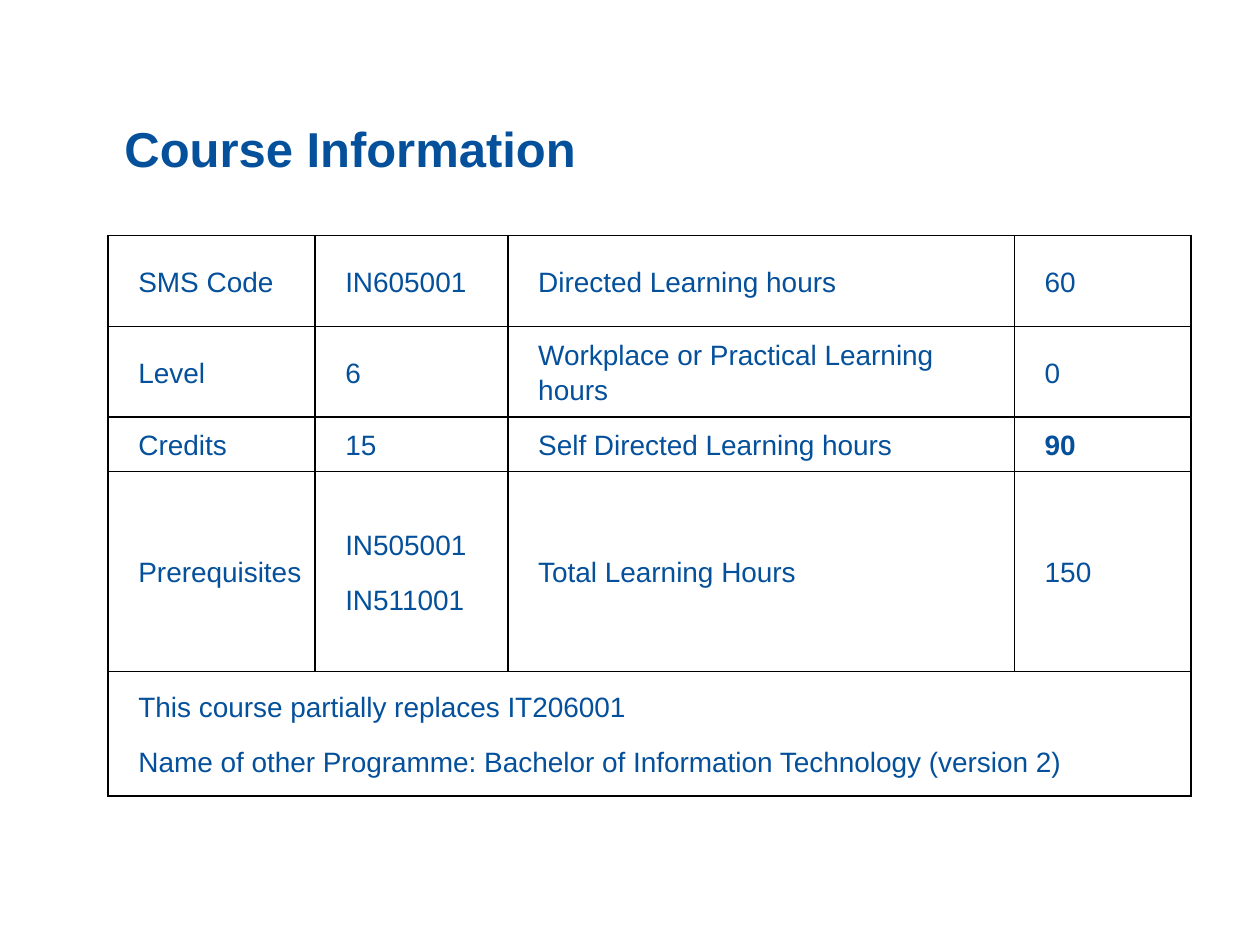
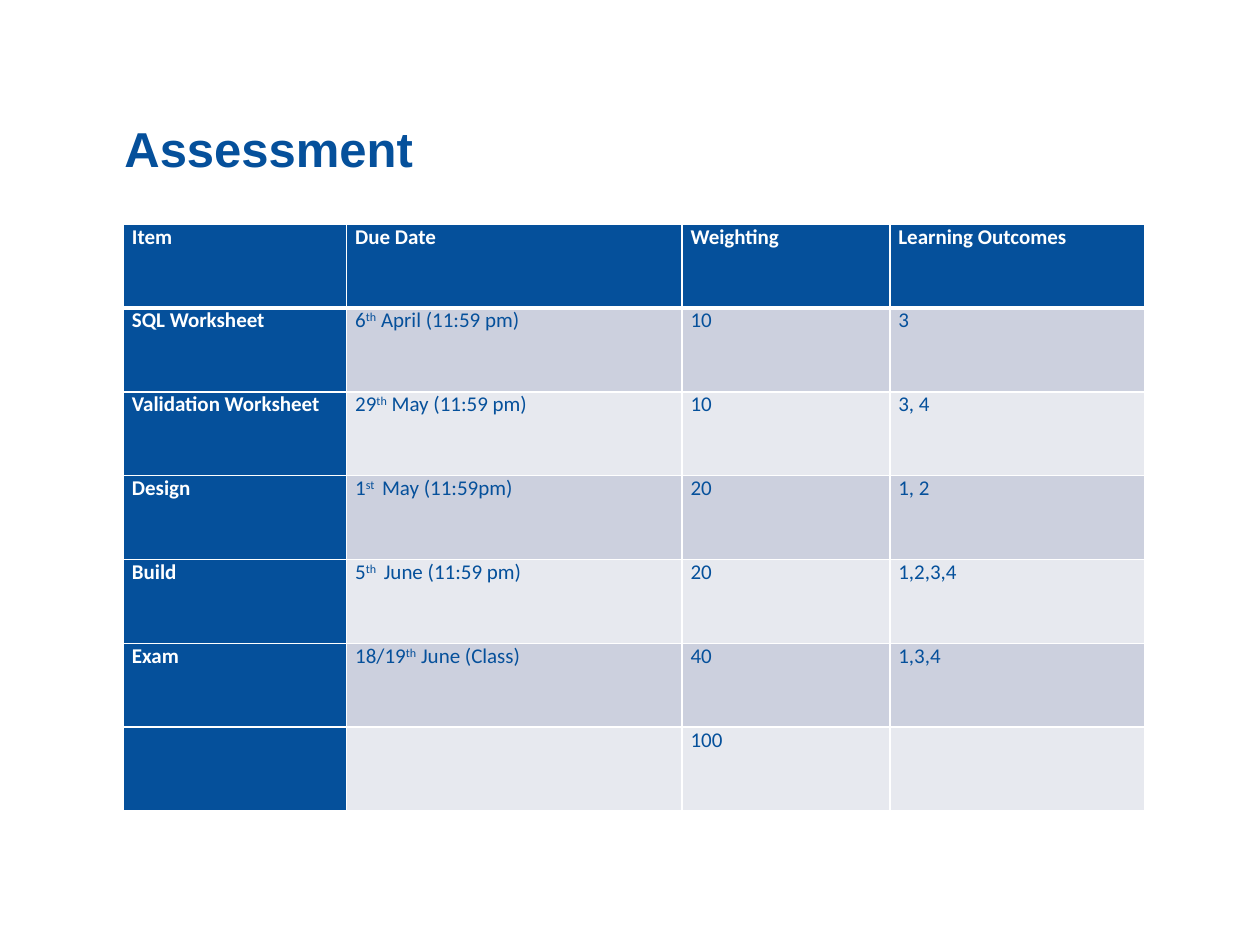
from lxml.etree import SubElement
from pptx import Presentation
from pptx.dml.color import RGBColor
from pptx.enum.text import MSO_ANCHOR as Anchor
from pptx.oxml.ns import qn
from pptx.util import Cm, Pt

BLUE = RGBColor(0x05, 0x50, 0x9B)
WHITE = RGBColor(0xFF, 0xFF, 0xFF)
BLACK = RGBColor(0x00, 0x00, 0x00)
BANDS = (RGBColor(0xCC, 0xD0, 0xDE), RGBColor(0xE7, 0xE9, 0xEF))

# A line break starts a new paragraph; text between carets is superscript.
COURSE = {
    "title": "Course Information",
    "place": (2.18, 4.75),
    "columns": (4.17, 3.89, 10.21, 3.56),
    "heights": (1.83, 1.83, 1.09, 4.04, 2.51),
    "rows": [
        ("SMS Code", "IN605001", "Directed Learning hours", "60"),
        ("Level", "6", "Workplace or Practical Learning hours", "0"),
        ("Credits", "15", "Self Directed Learning hours", "90"),
        ("Prerequisites", "IN505001\nIN511001", "Total Learning Hours", "150"),
        ("This course partially replaces IT206001\n"
         "Name of other Programme: Bachelor of Information Technology (version 2)",),
    ],
}
BOLD_HOURS = "90"

ASSESSMENT = {
    "title": "Assessment",
    "place": (2.49, 4.52),
    "columns": (4.5, 6.76, 4.19, 5.13),
    "heights": (1.69,) * 7,
    "rows": [
        ("Item", "Due Date", "Weighting", "Learning Outcomes"),
        ("SQL Worksheet", "6^th^ April (11:59 pm)", "10", "3"),
        ("Validation Worksheet", "29^th^ May (11:59 pm)", "10", "3, 4"),
        ("Design", "1^st ^ May (11:59pm)", "20", "1, 2"),
        ("Build", "5^th ^ June (11:59 pm)", "20", "1,2,3,4"),
        ("Exam", "18/19^th^ June (Class)", "40", "1,3,4"),
        ("", "", "100", ""),
    ],
}


def write_text(frame, text, size, font="Arial", color=BLUE, bold=False,
               before=0, spacing=None, indent=0):
    """Fill a text frame with formatted paragraphs."""
    frame.word_wrap = True
    for number, line in enumerate(text.split("\n")):
        paragraph = frame.add_paragraph() if number else frame.paragraphs[0]
        paragraph.space_before = Pt(before)
        if spacing:
            paragraph.line_spacing = spacing
        if indent:
            properties = paragraph._p.get_or_add_pPr()
            properties.set("marL", str(Cm(indent)))
            properties.set("indent", "0")
        paragraph.font.size = Pt(size)
        for position, part in enumerate(line.split("^")):
            if not part:
                continue
            run = paragraph.add_run()
            run.text = part
            run.font.size, run.font.name, run.font.bold = Pt(size), font, bold
            run.font.color.rgb = color
            if position % 2:
                run._r.get_or_add_rPr().set("baseline", "30000")


def set_borders(cell, color, top=1, bottom=1):
    """Draw the four edges of a cell."""
    properties = cell._tc.get_or_add_tcPr()
    for edge, width in (("L", 1), ("R", 1), ("T", top), ("B", bottom)):
        line = SubElement(properties, qn(f"a:ln{edge}"), w=str(Pt(width)))
        fill = SubElement(line, qn("a:solidFill"))
        SubElement(fill, qn("a:srgbClr"), val=str(color))


def set_margins(cell, side, vertical):
    """Set the inner margins of a cell in centimetres."""
    cell.margin_left = cell.margin_right = Cm(side)
    cell.margin_top = cell.margin_bottom = Cm(vertical)


def add_table_slide(presentation, content):
    """Add a titled slide with an unstyled table and return the table."""
    slide = presentation.slides.add_slide(presentation.slide_layouts[6])
    title = slide.shapes.add_textbox(Cm(2.26), Cm(0.56), Cm(15.49), Cm(3.15))
    title.text_frame.vertical_anchor = Anchor.BOTTOM
    write_text(title.text_frame, content["title"], size=28, bold=True)

    columns, heights = content["columns"], content["heights"]
    left, top = content["place"]
    table = slide.shapes.add_table(
        len(heights), len(columns), Cm(left), Cm(top),
        Cm(sum(columns)), Cm(sum(heights))).table
    table.first_row = table.horz_banding = False
    for column, width in zip(table.columns, columns):
        column.width = Cm(width)
    for row, height in zip(table.rows, heights):
        row.height = Cm(height)
    return table


def build_course(presentation):
    """Build the course information slide."""
    table = add_table_slide(presentation, COURSE)
    for cell in table.iter_cells():
        set_borders(cell, BLACK)
        cell.fill.background()
        set_margins(cell, 0.1, 0.1)
        cell.vertical_anchor = Anchor.MIDDLE
    last = len(COURSE["rows"]) - 1
    table.cell(last, 0).merge(table.cell(last, len(COURSE["columns"]) - 1))
    for r, row in enumerate(COURSE["rows"]):
        for c, text in enumerate(row):
            write_text(table.cell(r, c).text_frame, text, size=16,
                       bold=text == BOLD_HOURS, before=12, spacing=1.1,
                       indent=0.51)


def build_assessment(presentation):
    """Build the assessment slide."""
    table = add_table_slide(presentation, ASSESSMENT)
    for r, row in enumerate(ASSESSMENT["rows"]):
        for c, text in enumerate(row):
            cell = table.cell(r, c)
            heading = r == 0 or c == 0
            set_borders(cell, WHITE, top=3 if r == 1 else 1,
                        bottom=3 if r == 0 else 1)
            cell.fill.solid()
            cell.fill.fore_color.rgb = BLUE if heading else BANDS[(r - 1) % 2]
            set_margins(cell, 0.17, 0)
            write_text(cell.text_frame, text, size=12, font="Calibri",
                       color=WHITE if heading else BLUE, bold=heading,
                       before=12 if r else 0)


presentation = Presentation()
presentation.slide_width, presentation.slide_height = Cm(25.4), Cm(19.05)
build_course(presentation)
build_assessment(presentation)
presentation.save("out.pptx")
